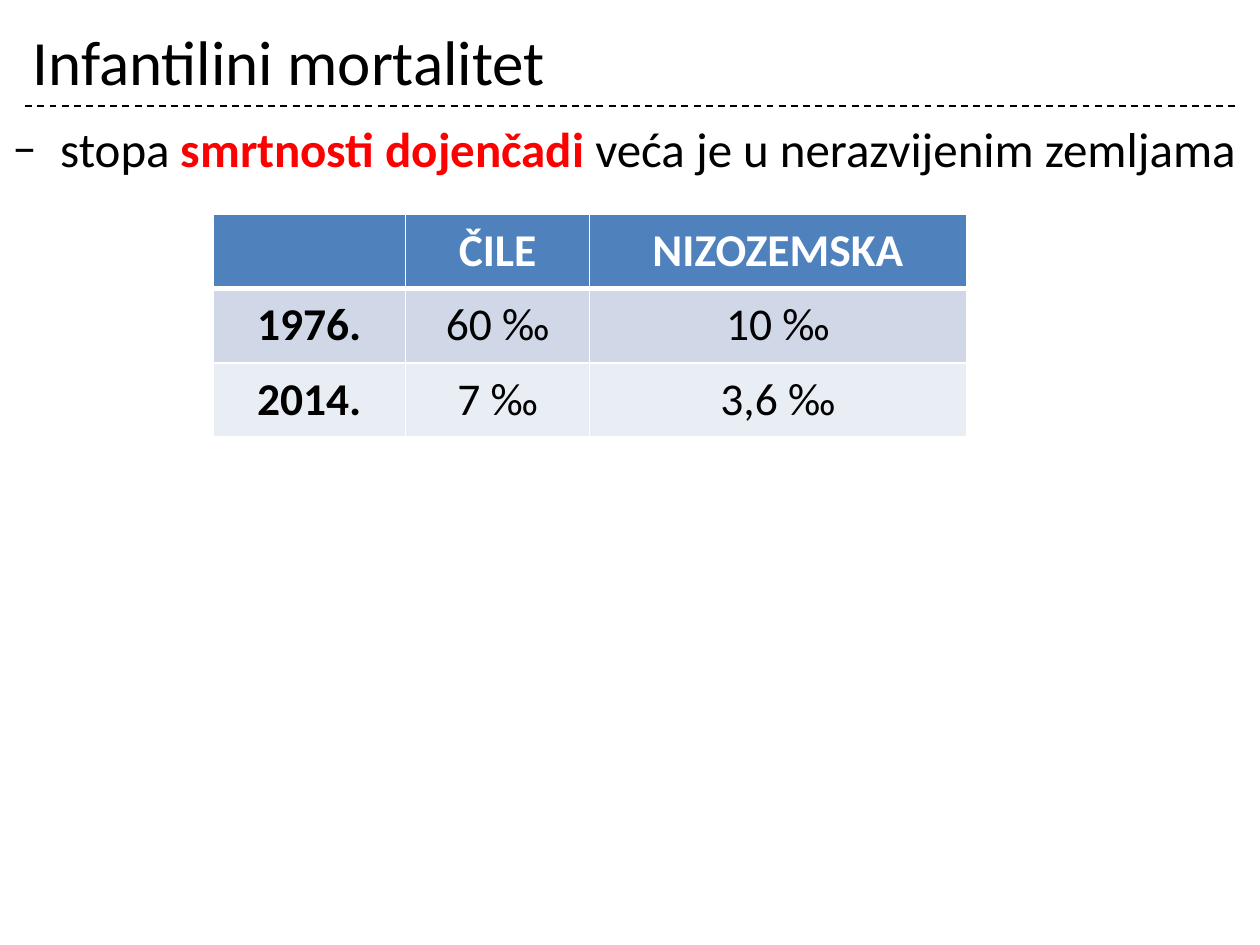
"""Build the slide on infant mortality with a comparison table."""
from dataclasses import dataclass

from lxml import etree
from pptx import Presentation
from pptx import util as u
from pptx.dml.color import RGBColor
from pptx.enum import dml, shapes, text
from pptx.oxml import ns

BLACK = RGBColor(0x00, 0x00, 0x00)
WHITE = RGBColor(0xFF, 0xFF, 0xFF)
RED = RGBColor(0xFF, 0x00, 0x00)
HEADER = RGBColor(0x4F, 0x81, 0xBD)
FONT = "Calibri"


@dataclass(frozen=True)
class TableRow:
    values: tuple[str, str, str]
    fill: RGBColor
    color: RGBColor = BLACK
    all_bold: bool = False
    top: float = 1
    bottom: float = 1


COLUMNS = (1.53, 1.46, 2.99)
ROW_HEIGHT = 0.59
ROWS = (
    TableRow(("", "ČILE", "NIZOZEMSKA"), HEADER, WHITE, all_bold=True, bottom=3),
    TableRow(("1976.", "60 ‰", "10 ‰"), RGBColor(0xD0, 0xD8, 0xE8), top=3),
    TableRow(("2014.", "7 ‰", "3,6 ‰"), RGBColor(0xE9, 0xED, 0xF4)),
)


def add_run(p, content: str, *, size: float, color: RGBColor = BLACK, bold: bool = False) -> None:
    r = p.add_run()
    r.text = content
    r.font.name = FONT
    r.font.size = u.Pt(size)
    r.font.bold = bold
    r.font.color.rgb = color


def add_box(s, left: float, top: float, width: float, height: float, anchor):
    sp = s.shapes.add_textbox(*map(u.Inches, (left, top, width, height)))
    tf = sp.text_frame
    tf.word_wrap = True
    tf.vertical_anchor = anchor
    return tf.paragraphs[0]


def add_bullet(p, char: str, indent: float) -> None:
    pPr = p._p.get_or_add_pPr()
    pPr.set("marL", str(u.Inches(indent)))
    pPr.set("indent", str(-u.Inches(indent)))
    etree.SubElement(pPr, ns.qn("a:buFont")).set("typeface", FONT)
    etree.SubElement(pPr, ns.qn("a:buChar")).set("char", char)


def add_rule(s, left: float, right: float, y: float) -> None:
    line = s.shapes.add_connector(
        shapes.MSO_CONNECTOR.STRAIGHT, *map(u.Inches, (left, y, right, y)))
    line.line.color.rgb = BLACK
    line.line.width = u.Pt(1)
    line.line.dash_style = dml.MSO_LINE.DASH
    etree.SubElement(line._element.spPr, ns.qn("a:effectLst"))


def set_borders(cell, top: float, bottom: float) -> None:
    tcPr = cell._tc.get_or_add_tcPr()
    edges = (("lnL", 1), ("lnR", 1), ("lnT", top), ("lnB", bottom))
    for i, (tag, width) in enumerate(edges):
        ln = etree.Element(ns.qn(f"a:{tag}"), w=str(u.Pt(width)))
        fill = etree.SubElement(ln, ns.qn("a:solidFill"))
        etree.SubElement(fill, ns.qn("a:srgbClr")).set("val", str(WHITE))
        tcPr.insert(i, ln)


def fill_cell(cell, row: TableRow, content: str, bold: bool) -> None:
    cell.fill.solid()
    cell.fill.fore_color.rgb = row.fill
    cell.margin_left = cell.margin_right = u.Inches(0.15)
    cell.margin_top = cell.margin_bottom = u.Inches(0.07)
    set_borders(cell, row.top, row.bottom)
    if content:
        p = cell.text_frame.paragraphs[0]
        p.alignment = text.PP_ALIGN.CENTER
        add_run(p, content, size=26, color=row.color, bold=bold)


def add_rate_table(s, left: float, top: float) -> None:
    table = s.shapes.add_table(
        len(ROWS), len(COLUMNS), u.Inches(left), u.Inches(top),
        u.Inches(sum(COLUMNS)), u.Inches(ROW_HEIGHT * len(ROWS))).table
    for column, width in zip(table.columns, COLUMNS):
        column.width = u.Inches(width)
    for i, row in enumerate(ROWS):
        table.rows[i].height = u.Inches(ROW_HEIGHT)
        for j, value in enumerate(row.values):
            fill_cell(table.cell(i, j), row, value, row.all_bold or j == 0)


def main() -> None:
    prs = Presentation()
    prs.slide_width, prs.slide_height = u.Inches(10), u.Inches(7.5)
    s = prs.slides.add_slide(prs.slide_layouts[6])

    add_rule(s, 0.2, 9.8, 0.84)
    title = add_box(s, 0.16, 0.13, 9.69, 0.7, text.MSO_ANCHOR.MIDDLE)
    add_run(title, "Infantilini mortalitet", size=36)

    body = add_box(s, 0, 0.89, 10, 4.44, text.MSO_ANCHOR.TOP)
    add_bullet(body, "–", 0.38)
    add_run(body, "stopa ", size=28)
    add_run(body, "smrtnosti dojenčadi ", size=28, color=RED, bold=True)
    add_run(body, "veća je u nerazvijenim zemljama", size=28)

    add_rate_table(s, 1.69, 1.7)
    prs.save("out.pptx")


if __name__ == "__main__":
    main()
